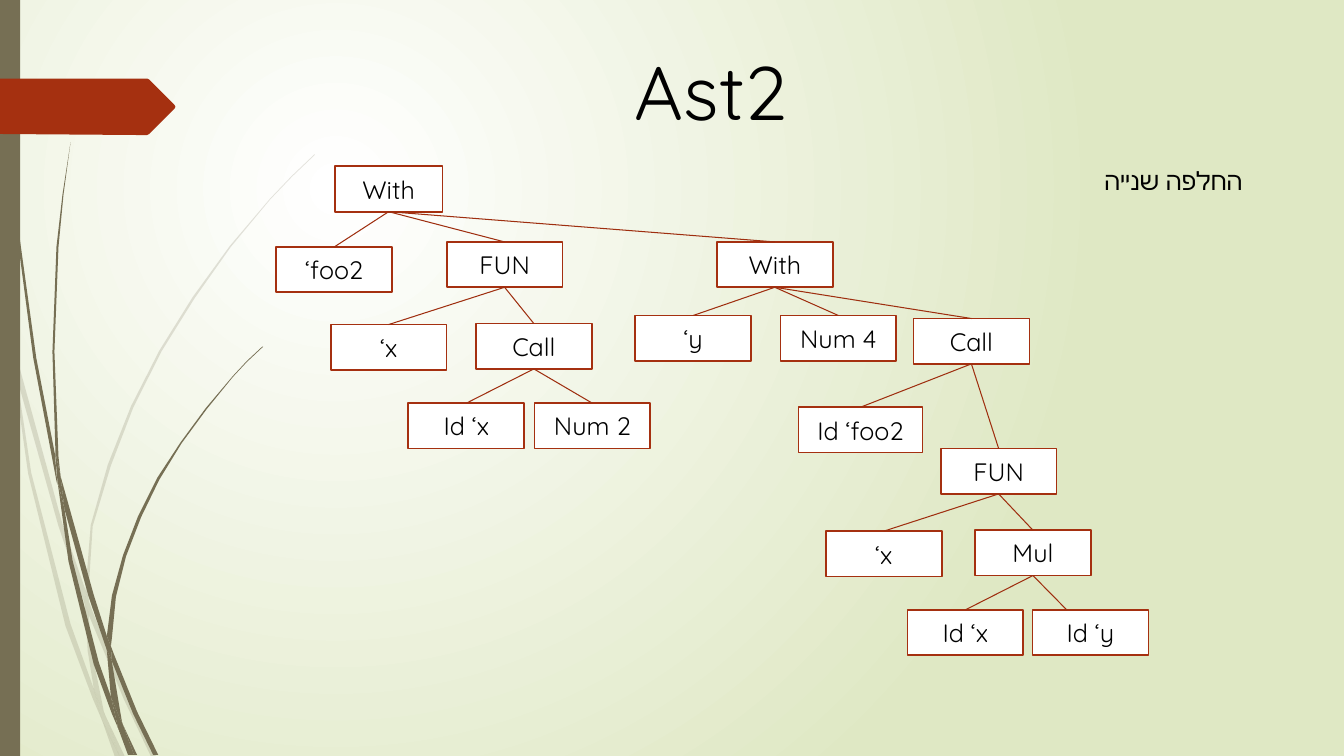
from lxml import etree
from pptx import Presentation
from pptx.dml.color import RGBColor
from pptx.enum.shapes import MSO_CONNECTOR, MSO_SHAPE
from pptx.enum.text import MSO_ANCHOR, MSO_AUTO_SIZE, PP_ALIGN
from pptx.oxml.ns import qn
from pptx.util import Inches, Pt

RECTANGLE = MSO_SHAPE.RECTANGLE
STRAIGHT = MSO_CONNECTOR.STRAIGHT
MIDDLE = MSO_ANCHOR.MIDDLE
CENTER, RIGHT = PP_ALIGN.CENTER, PP_ALIGN.RIGHT
FIT_TEXT = MSO_AUTO_SIZE.SHAPE_TO_FIT_TEXT

BLACK = RGBColor(0x00, 0x00, 0x00)
WHITE = RGBColor(0xFF, 0xFF, 0xFF)
PALE_GREEN = RGBColor(0xDF, 0xE8, 0xC4)
OLIVE = RGBColor(0x76, 0x6F, 0x54)
RUST = RGBColor(0xA5, 0x30, 0x10)
DARK_RUST = RGBColor(0x9E, 0x2E, 0x0F)
FONT = "Quicksand"


def write(shape, text, size, align=CENTER):
    """Put one run of text in a shape and return its paragraph."""
    para = shape.text_frame.paragraphs[0]
    para.alignment = align
    span = para.add_run()
    span.text = text
    span.font.size = Pt(size)
    span.font.color.rgb = BLACK
    span.font.name = FONT
    etree.SubElement(span.font._element, qn("a:cs"), typeface=FONT)
    return para


def draw_outline(points, color, opacity=100):
    """Fill a closed outline given as x, y pairs in hundredths of an inch."""
    builder = page.shapes.build_freeform(*points[0], scale=float(Inches(0.01)))
    builder.add_line_segments(points[1:], close=True)
    outline = builder.convert_to_shape()
    outline.shadow.inherit = False
    outline.fill.solid()
    outline.fill.fore_color.rgb = color
    outline.line.fill.background()
    if opacity < 100:
        tint = outline._element.spPr.find(".//" + qn("a:srgbClr"))
        etree.SubElement(tint, qn("a:alpha"), val=str(opacity * 1000))


deck = Presentation()
deck.slide_width, deck.slide_height = Inches(13.33), Inches(7.5)
page = deck.slides.add_slide(deck.slide_layouts[6])

# Background: white glow in the upper left, fading to pale green
backdrop = page.background.fill
backdrop.gradient()
for stop, color, position in zip(backdrop.gradient_stops, (WHITE, PALE_GREEN), (0, 1)):
    stop.color.rgb = color
    stop.position = position
gradient = page._element.find(".//" + qn("a:gradFill"))
gradient.remove(gradient.find(qn("a:lin")))
glow = etree.SubElement(gradient, qn("a:path"), {"path": "circle"})
etree.SubElement(glow, qn("a:fillToRect"), l="50000", t="50000", r="100000", b="100000")

# Grass: blade segments that meet edge to edge, in hundredths of an inch
FAINT_BLADES = [
    [(11, 350), (9, 322), (0, 282), (0, 299), (10, 344)],
    [(58, 522), (84, 599), (85, 586), (62, 520), (14, 345), (17, 376)],
    [(92, 607), (88, 596), (88, 610), (123, 694), (150, 751), (155, 751), (127, 692)],
    [(119, 751), (124, 751), (105, 711)],
    [(93, 683), (70, 619), (31, 469), (17, 376), (11, 350), (28, 470), (65, 621),
     (92, 693), (101, 714), (99, 707)],
    [(84, 599), (87, 646), (93, 683), (96, 692), (105, 711), (103, 706), (91, 646),
     (88, 610), (88, 608)],
    [(88, 584), (92, 522), (110, 462), (132, 405), (160, 349), (193, 296), (229, 245),
     (268, 198), (290, 175), (312, 154), (312, 153), (289, 175), (268, 197), (228, 244),
     (191, 295), (158, 348), (130, 403), (107, 461), (90, 521), (85, 584), (85, 586),
     (88, 596)],
    [(101, 714), (114, 751), (119, 751)],
    [(88, 608), (88, 610), (88, 596), (85, 586), (84, 599)],
    [(96, 692), (93, 683), (99, 707), (101, 714), (119, 751), (105, 711)],
]
DARK_BLADES = [
    [(7, 110), (17, 233), (33, 355), (56, 477), (57, 481), (55, 457), (55, 453),
     (36, 355), (19, 232), (8, 109), (5, 48), (4, 0), (3, 0), (4, 48)],
    [(88, 592), (106, 645), (106, 631), (93, 590), (60, 472), (64, 505)],
    [(113, 649), (110, 641), (111, 656), (132, 708), (152, 749), (157, 749), (136, 706)],
    [(110, 691), (98, 657), (72, 556), (64, 505), (57, 477), (68, 557), (93, 659),
     (111, 708), (117, 722), (116, 717)],
    [(60, 472), (58, 453), (54, 349), (58, 245), (63, 193), (70, 141), (62, 193),
     (56, 245), (52, 349), (55, 449)],
    [(133, 749), (136, 749), (122, 719)],
    [(57, 477), (64, 505), (60, 472), (55, 449), (55, 453)],
    [(111, 633), (115, 592), (125, 552), (140, 513), (158, 476), (180, 440), (205, 406),
     (231, 374), (245, 359), (261, 344), (260, 344), (245, 358), (231, 373), (204, 405),
     (179, 439), (156, 474), (137, 512), (122, 551), (111, 591), (106, 631), (110, 641)],
    [(117, 722), (127, 749), (131, 749)],
    [(106, 645), (110, 691), (116, 706), (122, 719), (121, 716), (111, 656), (109, 651)],
    [(106, 645), (109, 651), (111, 656), (110, 641), (106, 631)],
    [(116, 706), (110, 691), (116, 717), (117, 722), (130, 749), (133, 749), (122, 719)],
]
for blade in FAINT_BLADES:
    draw_outline(blade, OLIVE, opacity=20)
for blade in DARK_BLADES:
    draw_outline(blade, OLIVE)

# Side bar and arrow tab
bar = page.shapes.add_shape(RECTANGLE, 0, 0, Inches(0.2), Inches(7.5))
bar.shadow.inherit = False
bar.fill.solid()
bar.fill.fore_color.rgb = OLIVE
bar.line.fill.background()
draw_outline([(0, 78), (146, 78), (148, 79), (173, 104), (174, 106), (173, 108),
              (148, 133), (146, 134), (136, 134), (0, 133)], RUST)

# Syntax tree: key, label, left, top, parent key; parents come first
NODE_WIDTH, NODE_HEIGHT = 1.15, 0.45
WIDTHS = {"root": 1.07, "call id": 1.23}
FREE_ENDS = {"mul y": 10.58}  # edges that meet the box off its middle
NODES = [
    ("root", "With", 3.32, 1.65, None),
    ("name", "‘foo2", 2.74, 2.45, "root"),
    ("fun", "FUN", 4.43, 2.4, "root"),
    ("fun x", "‘x", 3.28, 3.22, "fun"),
    ("fun call", "Call", 4.72, 3.21, "fun"),
    ("fun id", "Id ‘x", 4.05, 4, "fun call"),
    ("fun num", "Num 2", 5.3, 4, "fun call"),
    ("with", "With", 7.11, 2.4, "root"),
    ("with y", "‘y", 6.3, 3.13, "with"),
    ("with num", "Num 4", 7.74, 3.13, "with"),
    ("call", "Call", 9.06, 3.16, "with"),
    ("call id", "Id ‘foo2", 7.92, 4.04, "call"),
    ("call fun", "FUN", 9.33, 4.45, "call"),
    ("call x", "‘x", 8.19, 5.27, "call fun"),
    ("mul", "Mul", 9.67, 5.26, "call fun"),
    ("mul x", "Id ‘x", 9, 6.05, "mul"),
    ("mul y", "Id ‘y", 10.24, 6.05, "mul"),
]
BOTTOM_SITE, TOP_SITE = 2, 0
boxes = {}
for key, label, left, top, parent in NODES:
    width = WIDTHS.get(key, NODE_WIDTH)
    box = page.shapes.add_shape(RECTANGLE, Inches(left), Inches(top),
                                Inches(width), Inches(NODE_HEIGHT))
    box.shadow.inherit = False
    box.fill.solid()
    box.fill.fore_color.rgb = WHITE
    box.line.color.rgb = RUST
    box.line.width = Pt(1.25)
    box.text_frame.vertical_anchor = MIDDLE
    write(box, label, 18)
    boxes[key] = box
    if parent is None:
        continue
    end_x = Inches(FREE_ENDS.get(key, left + width / 2))
    edge = page.shapes.add_connector(STRAIGHT, 0, 0, end_x, box.top)
    edge.begin_connect(boxes[parent], BOTTOM_SITE)
    if key not in FREE_ENDS:
        edge.end_connect(box, TOP_SITE)
    edge.line.color.rgb = DARK_RUST
    edge.line.width = Pt(0.75)
    etree.SubElement(edge._element.spPr, qn("a:effectLst"))

# Title and Hebrew caption
title = page.shapes.add_textbox(Inches(6.19), Inches(0.4), Inches(1.73), Inches(1.01))
title.text_frame.word_wrap = False
title.text_frame.auto_size = FIT_TEXT
write(title, "Ast2", 54)

caption = page.shapes.add_textbox(Inches(10.48), Inches(1.59), Inches(1.94), Inches(0.4))
caption.text_frame.word_wrap = True
caption.text_frame.auto_size = FIT_TEXT
caption_para = write(caption, "החלפה שנייה", 18, RIGHT)
caption_para._p.get_or_add_pPr().set("rtl", "1")

deck.save("out.pptx")
